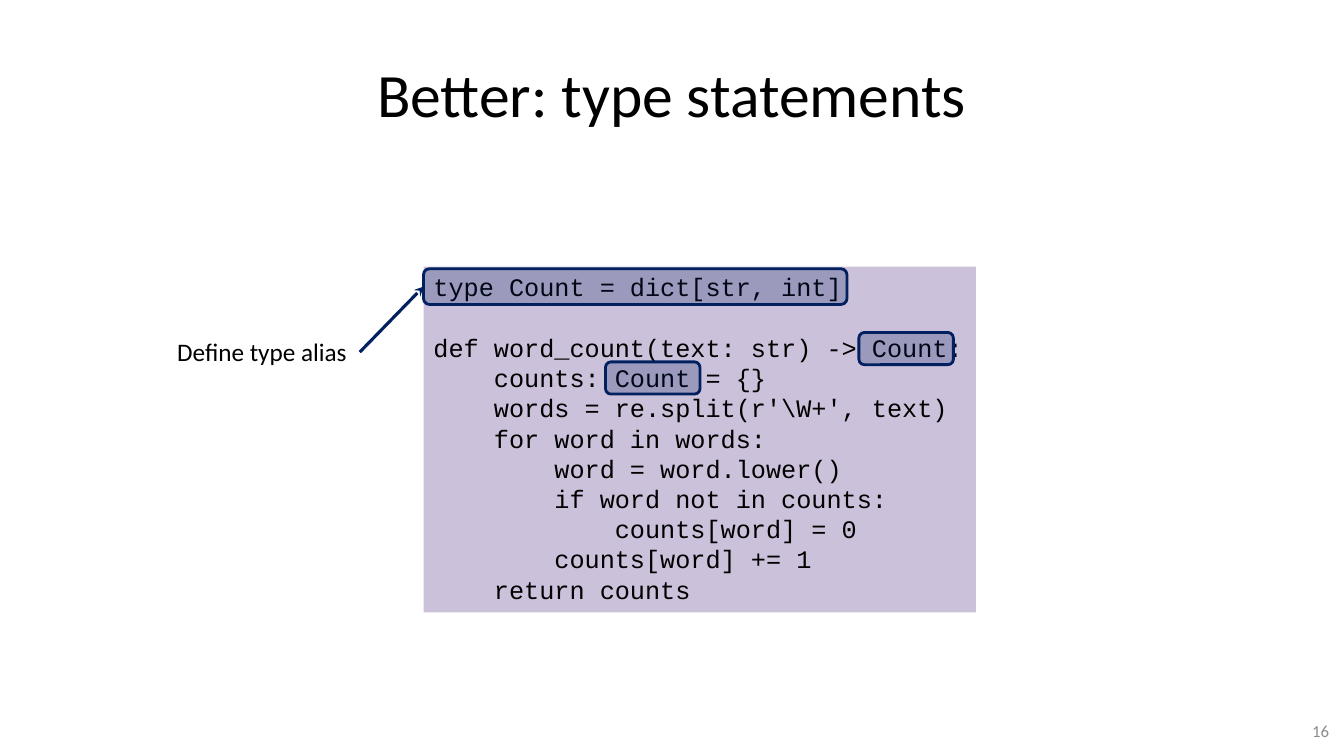
"""Build the slide that introduces type statements for aliases."""
from dataclasses import dataclass

import pptx
import pptx.dml.color
import pptx.enum.shapes
import pptx.enum.text
import pptx.oxml.ns
import pptx.oxml.xmlchemy
import pptx.util

Pt = pptx.util.Pt
ALIGN = pptx.enum.text.PP_ALIGN
ANCHOR = pptx.enum.text.MSO_ANCHOR
SHAPE = pptx.enum.shapes.MSO_SHAPE
COLOURS = {"ink": "000000", "code": "CCC1DA", "mark": "002060", "number": "8C8C8C"}
LINE_PITCH = 21.6
CODE = r"""type Count = dict[str, int]

def word_count(text: str) -> Count:
    counts: Count = {}
    words = re.split(r'\W+', text)
    for word in words:
        word = word.lower()
        if word not in counts:
            counts[word] = 0
        counts[word] += 1
    return counts"""


@dataclass(frozen=True)
class Area:
    """A rectangle on the page, in points."""
    left: float
    top: float
    width: float
    height: float

    def lengths(self) -> list:
        """Return the four measures as lengths."""
        return [Pt(self.left), Pt(self.top), Pt(self.width), Pt(self.height)]


@dataclass(frozen=True)
class Label:
    """One line of text and its format."""
    text: str
    area: Area
    size: float
    colour: str
    align: ALIGN
    anchor: ANCHOR
    wrap: bool


TITLE = Label("Better: type statements", Area(48, 21.6, 864, 90), 44, "ink",
              ALIGN.CENTER, ANCHOR.MIDDLE, True)
LABELS = [
    Label("16", Area(732.5, 507.5, 224, 28.8), 12, "number",
          ALIGN.RIGHT, ANCHOR.MIDDLE, True),
    Label("Define type alias", Area(119.5, 237, 137.5, 29), 18, "ink",
          ALIGN.LEFT, ANCHOR.TOP, False),
]
CODE_AREA = Area(302.5, 190.5, 394.5, 247)
MARKS = [
    Area(302.5, 192, 302.5, 25.5),
    Area(613.5, 237.5, 67.5, 23),
    Area(432.5, 258.5, 67.5, 23),
]


def colour(name: str) -> pptx.dml.color.RGBColor:
    """Look up a colour by its role."""
    return pptx.dml.color.RGBColor.from_string(COLOURS[name])


def apply_format(target, values: dict) -> None:
    """Set each attribute named in the format values."""
    for name, value in values.items():
        setattr(target, name, value)


def format_font(para, face: str, size: float, ink: str) -> None:
    """Give every span of a paragraph its face, size and colour."""
    for span in para.runs:
        apply_format(span.font, {"name": face, "size": Pt(size)})
        span.font.color.rgb = colour(ink)


def write_label(box, label: Label) -> None:
    """Place a label in a text box or placeholder."""
    apply_format(box, dict(zip(("left", "top", "width", "height"), label.area.lengths())))
    frame = box.text_frame
    apply_format(frame, {"word_wrap": label.wrap, "vertical_anchor": label.anchor})
    para = frame.paragraphs[0]
    apply_format(para, {"text": label.text, "alignment": label.align})
    format_font(para, "Calibri", label.size, label.colour)


def add_block(page, kind: SHAPE, area: Area, fill: str):
    """Add a filled shape without a shadow."""
    block = page.shapes.add_shape(kind, *area.lengths())
    block.shadow.inherit = False
    block.fill.solid()
    block.fill.fore_color.rgb = colour(fill)
    return block


def add_code(page) -> None:
    """Add the code listing, turning its empty line into spacing."""
    block = add_block(page, SHAPE.RECTANGLE, CODE_AREA, "code")
    block.line.fill.background()
    frame = block.text_frame
    apply_format(frame, {"word_wrap": False, "vertical_anchor": ANCHOR.TOP})
    for part, section in enumerate(CODE.split("\n\n")):
        for row, text in enumerate(section.split("\n")):
            first = part == row == 0
            para = frame.paragraphs[0] if first else frame.add_paragraph()
            gap = LINE_PITCH if part and row == 0 else 0
            apply_format(para, {"text": text, "alignment": ALIGN.LEFT,
                                "line_spacing": Pt(LINE_PITCH), "space_before": Pt(gap)})
            format_font(para, "Courier New", 18, "ink")


def add_mark(page, area: Area) -> None:
    """Add a translucent rounded highlight."""
    mark = add_block(page, SHAPE.ROUNDED_RECTANGLE, area, "mark")
    mark.line.color.rgb = colour("mark")
    mark.line.width = Pt(2)
    fill = mark._element.spPr.find(pptx.oxml.ns.qn("a:solidFill"))
    alpha = pptx.oxml.xmlchemy.OxmlElement("a:alpha")
    alpha.set("val", "24000")
    fill[0].append(alpha)


def add_arrow(page) -> None:
    """Add the arrow from the label to the alias."""
    arrow = page.shapes.add_connector(pptx.enum.shapes.MSO_CONNECTOR.STRAIGHT,
                                      Pt(257), Pt(251.5), Pt(302.5), Pt(204.75))
    arrow.line.color.rgb = colour("mark")
    arrow.line.width = Pt(2.25)
    head = pptx.oxml.xmlchemy.OxmlElement("a:tailEnd")
    head.set("type", "stealth")
    properties = arrow._element.spPr
    properties.find(pptx.oxml.ns.qn("a:ln")).append(head)
    properties.append(pptx.oxml.xmlchemy.OxmlElement("a:effectLst"))


def main() -> None:
    """Build and save the deck."""
    deck = pptx.Presentation()
    apply_format(deck, {"slide_width": Pt(960), "slide_height": Pt(540)})
    page = deck.slides.add_slide(deck.slide_layouts[5])
    write_label(page.shapes.title, TITLE)
    add_code(page)
    add_arrow(page)
    for label in LABELS:
        write_label(page.shapes.add_textbox(*label.area.lengths()), label)
    for area in MARKS:
        add_mark(page, area)
    deck.save("out.pptx")


if __name__ == "__main__":
    main()
